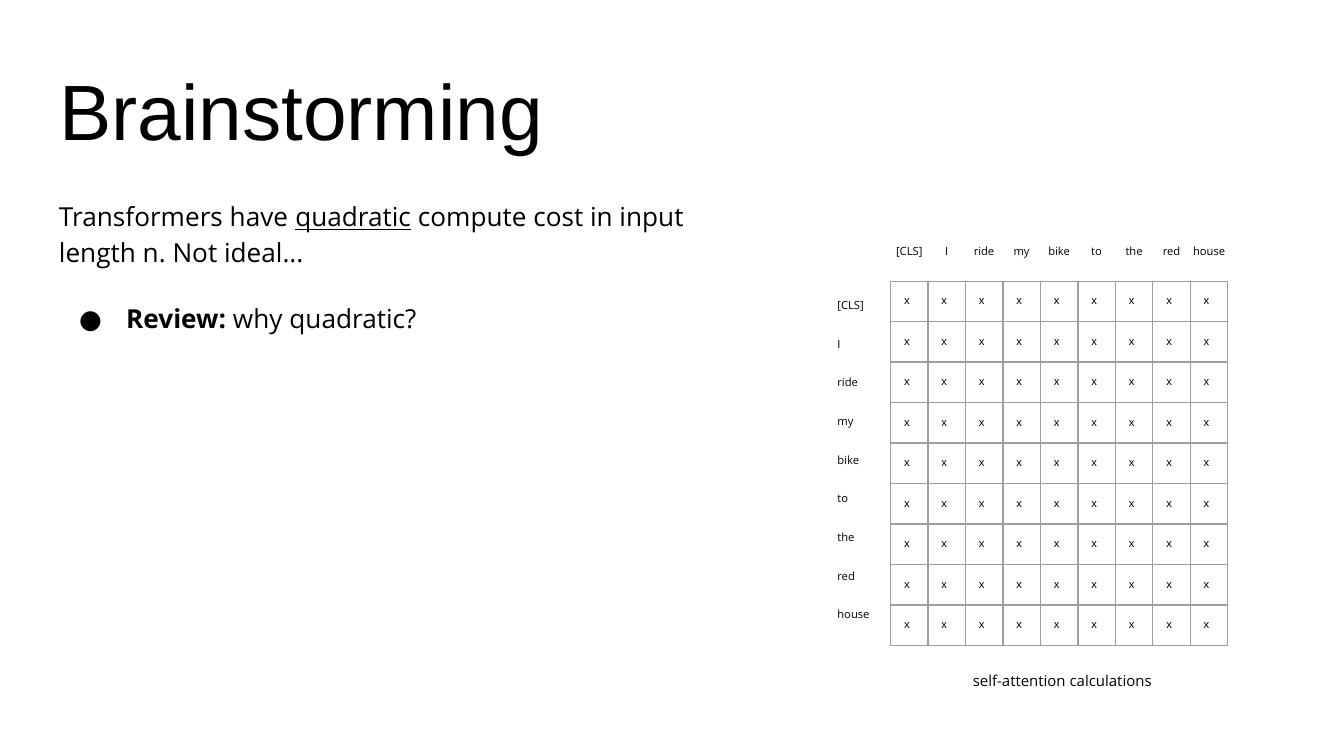
"""Build a slide on the quadratic cost of self-attention."""
from lxml.etree import SubElement
from pptx import Presentation
from pptx.dml.color import RGBColor
from pptx.enum.text import MSO_ANCHOR, MSO_AUTO_SIZE, PP_ALIGN
from pptx.oxml.ns import qn
from pptx.util import Pt

TITLE = "Brainstorming"
TOKENS = ["[CLS]", "I", "ride", "my", "bike", "to", "the", "red", "house"]
MARK = "x"
CAPTION = "self-attention calculations"
CLAIM = [("Transformers have ", {}), ("quadratic", {"underline": True}),
         (" compute cost in input length n. Not ideal...", {})]
REVIEW = [("Review: ", {"bold": True}), ("why quadratic?", {})]

BLACK, GREY = "000000", "9E9E9E"
SANS, ARIAL = "Open Sans", "Arial"
INSET = 7.2
GRID_LEFT, GRID_TOP, COL_W, ROW_H = 477.1, 150.6, 20.09, 21.7
LABEL_LINE = 8.17


def rgb(color):
    return RGBColor.from_string(color)


def add_run(p, text, size, font=SANS, **style):
    r = p.add_run()
    r.text = text
    r.font.name, r.font.size = font, Pt(size)
    r.font.color.rgb = rgb(BLACK)
    for name, value in style.items():
        setattr(r.font, name, value)


def set_insets(tf, top=INSET):
    tf.margin_left = tf.margin_right = tf.margin_bottom = Pt(INSET)
    tf.margin_top = Pt(top)
    tf.word_wrap = True


def add_text(s, box, top=INSET, grow=True):
    tf = s.shapes.add_textbox(*map(Pt, box)).text_frame
    set_insets(tf, top)
    tf.auto_size = MSO_AUTO_SIZE.SHAPE_TO_FIT_TEXT if grow else MSO_AUTO_SIZE.NONE
    return tf


def add_bullet(p, left, indent):
    pPr = p._p.get_or_add_pPr()
    pPr.set("marL", str(Pt(left)))
    pPr.set("indent", str(Pt(indent)))
    color = SubElement(pPr, qn("a:buClr"))
    SubElement(color, qn("a:srgbClr"), val=BLACK)
    SubElement(pPr, qn("a:buFont"), typeface=SANS)
    SubElement(pPr, qn("a:buChar"), char="●")


def add_center_tabs(p, stops):
    tabs = SubElement(p._p.get_or_add_pPr(), qn("a:tabLst"))
    for stop in stops:
        SubElement(tabs, qn("a:tab"), pos=str(Pt(stop)), algn="ctr")


def set_borders(cell):
    tcPr = cell._tc.get_or_add_tcPr()
    for i, side in enumerate(("a:lnL", "a:lnR", "a:lnT", "a:lnB")):
        ln = tcPr.makeelement(qn(side), {"w": str(Pt(0.75))})
        fill = SubElement(ln, qn("a:solidFill"))
        SubElement(fill, qn("a:srgbClr"), val=GREY)
        tcPr.insert(i, ln)


def add_title(s):
    title = s.shapes.title
    title.left, title.top, title.width, title.height = map(Pt, (24.5, 25.2, 671, 65.5))
    tf = title.text_frame
    set_insets(tf)
    tf.auto_size = MSO_AUTO_SIZE.NONE
    tf.vertical_anchor = MSO_ANCHOR.BOTTOM
    p = tf.paragraphs[0]
    p.alignment = PP_ALIGN.LEFT
    add_run(p, TITLE, 42, ARIAL)


def add_body(s):
    tf = add_text(s, (24.5, 97.9, 370.8, 264.2), grow=False)
    claim, review = tf.paragraphs[0], tf.add_paragraph()
    for p, runs in ((claim, CLAIM), (review, REVIEW)):
        p.line_spacing = 1.15
        for text, style in runs:
            add_run(p, text, 14, **style)
    review.space_before = Pt(16)
    add_bullet(review, 36, -25.2)


def add_grid(s):
    n = len(TOKENS)
    box = map(Pt, (GRID_LEFT, GRID_TOP, n * COL_W, n * ROW_H))
    table = s.shapes.add_table(n, n, *box).table
    table.first_row = table.horz_banding = False
    for col, row in zip(table.columns, table.rows):
        col.width, row.height = Pt(COL_W), Pt(ROW_H)
    for cell in table.iter_cells():
        cell.margin_left = cell.margin_right = Pt(INSET)
        cell.margin_top = cell.margin_bottom = Pt(INSET)
        cell.fill.background()
        set_borders(cell)
        add_run(cell.text_frame.paragraphs[0], MARK, 6, ARIAL)


def add_labels(s):
    p = add_text(s, (473, 127.4, 242.6, 21.6), top=3.6).paragraphs[0]
    first = GRID_LEFT + COL_W / 2 - 473 - INSET
    add_center_tabs(p, [first + i * COL_W for i in range(1, len(TOKENS))])
    add_run(p, "\t".join(TOKENS), 6)

    tf = add_text(s, (427, 152.6, 58.3, 196.6))
    for i, token in enumerate(TOKENS):
        p = tf.add_paragraph() if i else tf.paragraphs[0]
        p._p.get_or_add_pPr().set("marL", str(Pt(14.5)))
        p.space_before = Pt(ROW_H - LABEL_LINE if i else 0)
        add_run(p, token, 6)

    p = add_text(s, (477.4, 356.4, 183.6, 24.5), top=3.6).paragraphs[0]
    p.alignment = PP_ALIGN.CENTER
    add_run(p, CAPTION, 8)


def main():
    prs = Presentation()
    prs.slide_width, prs.slide_height = Pt(720), Pt(405)
    s = prs.slides.add_slide(prs.slide_layouts[5])
    add_title(s)
    add_grid(s)
    add_labels(s)
    add_body(s)
    prs.save("out.pptx")


if __name__ == "__main__":
    main()
